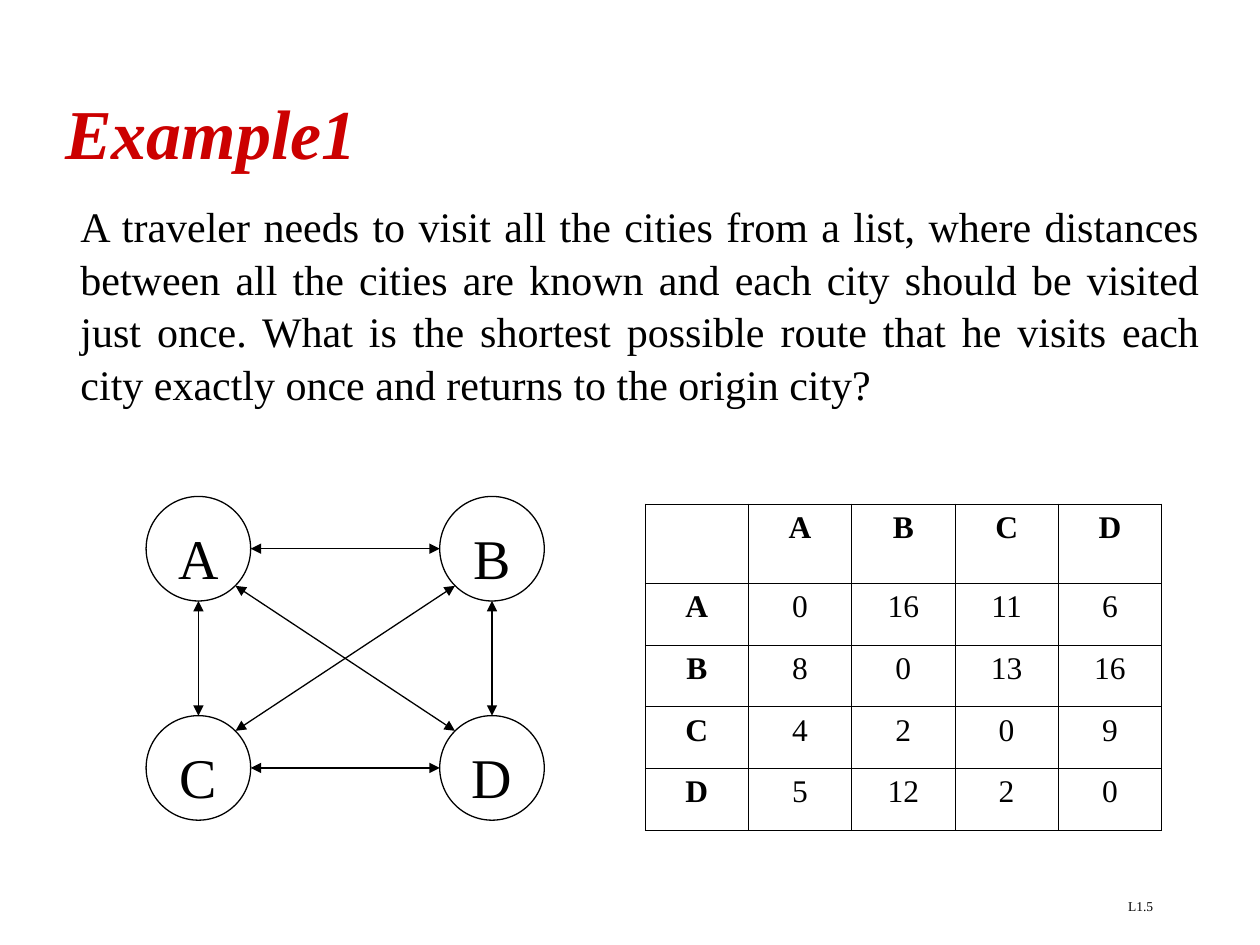
from dataclasses import dataclass
from itertools import combinations

from lxml import etree
from pptx import Presentation
from pptx.dml.color import RGBColor
from pptx.enum import shapes, text
from pptx.oxml import ns
from pptx.util import Inches, Pt


@dataclass(frozen=True)
class Theme:
    font: str = "Times New Roman"
    ink: RGBColor = RGBColor(0, 0, 0)
    accent: RGBColor = RGBColor(0xCC, 0, 0)
    title: float = 40
    body: float = 24
    node: float = 32
    cell: float = 18
    footer: float = 7.7
    line: float = 0.75
    border: float = 0.45


class SlideBuilder:
    def __init__(self, slide, theme):
        self.slide = slide
        self.theme = theme

    def set_text(self, frame, content, size, align=text.PP_ALIGN.LEFT,
                 color=None, bold=False, italic=False):
        paragraph = frame.paragraphs[0]
        paragraph.alignment = align
        if content:
            paragraph.text = content
        font = paragraph.font
        font.name, font.size = self.theme.font, Pt(size)
        font.bold, font.italic = bold, italic
        font.color.rgb = color or self.theme.ink
        return paragraph

    def text_box(self, left, top, width, height, content, size,
                 anchor=text.MSO_ANCHOR.TOP, **style):
        shape = self.slide.shapes.add_textbox(
            Inches(left), Inches(top), Inches(width), Inches(height))
        frame = shape.text_frame
        frame.word_wrap = True
        frame.vertical_anchor = anchor
        return self.set_text(frame, content, size, **style)

    def node(self, left, top, diameter, label):
        shape = self.slide.shapes.add_shape(
            shapes.MSO_SHAPE.OVAL, Inches(left), Inches(top),
            Inches(diameter), Inches(diameter))
        shape.shadow.inherit = False
        shape.fill.background()
        shape.line.color.rgb = self.theme.ink
        shape.line.width = Pt(self.theme.line)
        frame = shape.text_frame
        frame.vertical_anchor = text.MSO_ANCHOR.TOP
        frame.margin_top, frame.margin_bottom = Inches(0.09), 0
        self.set_text(frame, label, self.theme.node, text.PP_ALIGN.CENTER)

    def double_arrow(self, start, end):
        connector = self.slide.shapes.add_connector(
            shapes.MSO_CONNECTOR.STRAIGHT, *map(Inches, (*start, *end)))
        connector.line.color.rgb = self.theme.ink
        connector.line.width = Pt(self.theme.line)
        properties = connector._element.spPr
        line = properties.find(ns.qn("a:ln"))
        for tag in ("a:headEnd", "a:tailEnd"):
            etree.SubElement(line, ns.qn(tag), type="triangle")
        etree.SubElement(properties, ns.qn("a:effectLst"))

    def cell_borders(self, cell):
        properties = cell._tc.get_or_add_tcPr()
        for index, side in enumerate(("a:lnL", "a:lnR", "a:lnT", "a:lnB")):
            line = etree.Element(ns.qn(side), w=str(Pt(self.theme.border)))
            fill = etree.SubElement(line, ns.qn("a:solidFill"))
            etree.SubElement(fill, ns.qn("a:srgbClr"), val=str(self.theme.ink))
            properties.insert(index, line)

    def table(self, left, top, column_width, row_heights, rows):
        columns = len(rows[0])
        table = self.slide.shapes.add_table(
            len(rows), columns, Inches(left), Inches(top),
            Inches(column_width * columns), Inches(sum(row_heights))).table
        table.horz_banding = False
        for column in table.columns:
            column.width = Inches(column_width)
        for row, height in zip(table.rows, row_heights):
            row.height = Inches(height)
        for r, values in enumerate(rows):
            for c, value in enumerate(values):
                cell = table.cell(r, c)
                cell.fill.background()
                self.cell_borders(cell)
                self.set_text(cell.text_frame, str(value), self.theme.cell,
                              text.PP_ALIGN.CENTER, bold=r == 0 or c == 0)


def main():
    presentation = Presentation()
    presentation.slide_width, presentation.slide_height = Inches(10), Inches(7.5)
    slide = presentation.slides.add_slide(presentation.slide_layouts[6])
    theme = Theme()
    builder = SlideBuilder(slide, theme)

    # Footer, title and problem statement
    builder.text_box(7.17, 7.08, 2.08, 0.25, "L1.5", theme.footer,
                     align=text.PP_ALIGN.RIGHT)
    builder.text_box(0.42, 0.42, 9.33, 1.25, "Example1", theme.title,
                     anchor=text.MSO_ANCHOR.MIDDLE, color=theme.accent,
                     bold=True, italic=True)
    problem = builder.text_box(
        0.54, 1.53, 9.08, 1.7,
        "A traveler needs to visit all the cities from a list, where distances "
        "between all the cities are known and each city should be visited just "
        "once. What is the shortest possible route that he visits each city "
        "exactly once and returns to the origin city?",
        theme.body, align=text.PP_ALIGN.JUSTIFY)
    problem.line_spacing = 1.04

    # City graph: every pair of cities is joined rim to rim
    diameter = 0.83
    cities = {"A": (1.16, 3.94), "B": (3.49, 3.94),
              "C": (1.16, 5.68), "D": (3.49, 5.68)}
    for label, (left, top) in cities.items():
        builder.node(left, top, diameter, label)
    for (x1, y1), (x2, y2) in combinations(cities.values(), 2):
        dx, dy = x2 - x1, y2 - y1
        # Diagonals meet the circles at 45 degrees, the others at mid-side
        reach = diameter / 2 * (0.71 if dx and dy else 1)
        step_x = reach * ((dx > 0) - (dx < 0))
        step_y = reach * ((dy > 0) - (dy < 0))
        center = diameter / 2
        builder.double_arrow((x1 + center + step_x, y1 + center + step_y),
                             (x2 + center - step_x, y2 + center - step_y))

    # Distance table
    distances = [[0, 16, 11, 6], [8, 0, 13, 16], [4, 2, 0, 9], [5, 12, 2, 0]]
    rows = [["", *cities]]
    rows += [[city, *values] for city, values in zip(cities, distances)]
    builder.table(5.12, 4, 0.82, [0.63] + [0.49] * len(cities), rows)

    presentation.save("out.pptx")


if __name__ == "__main__":
    main()
